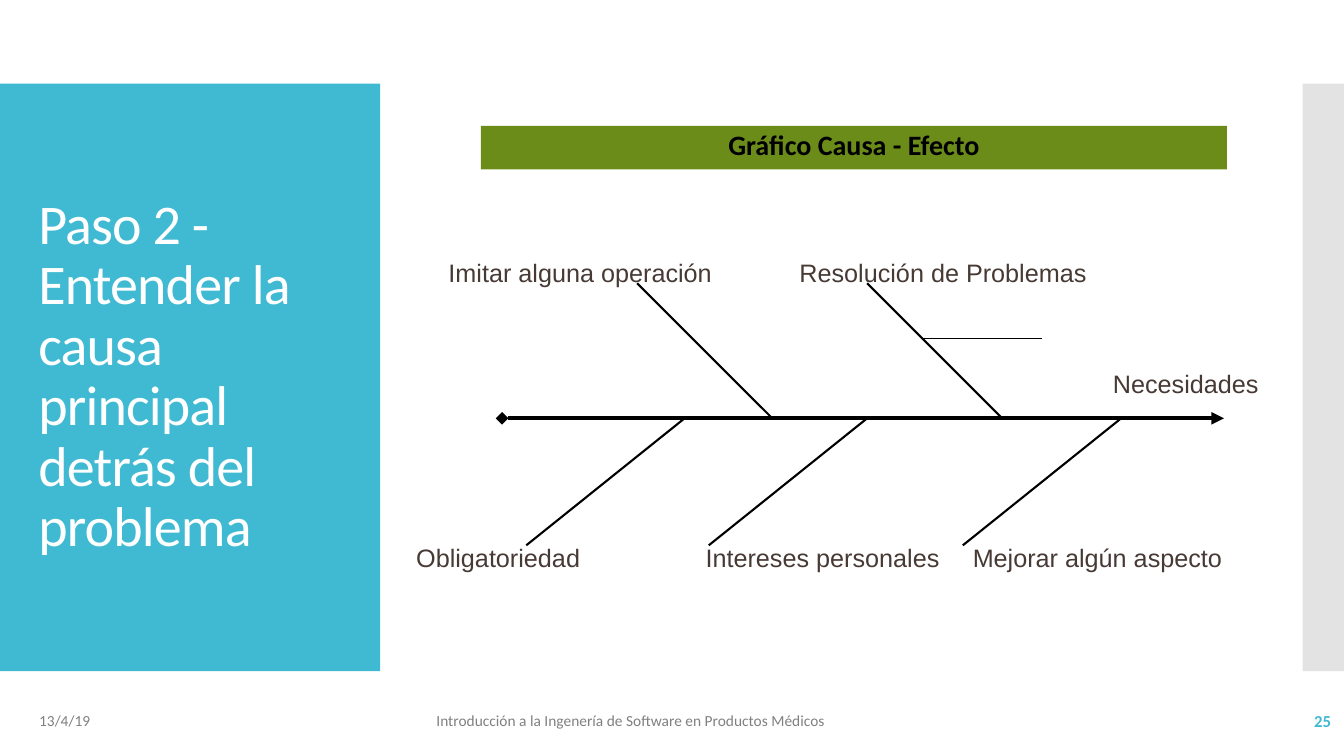
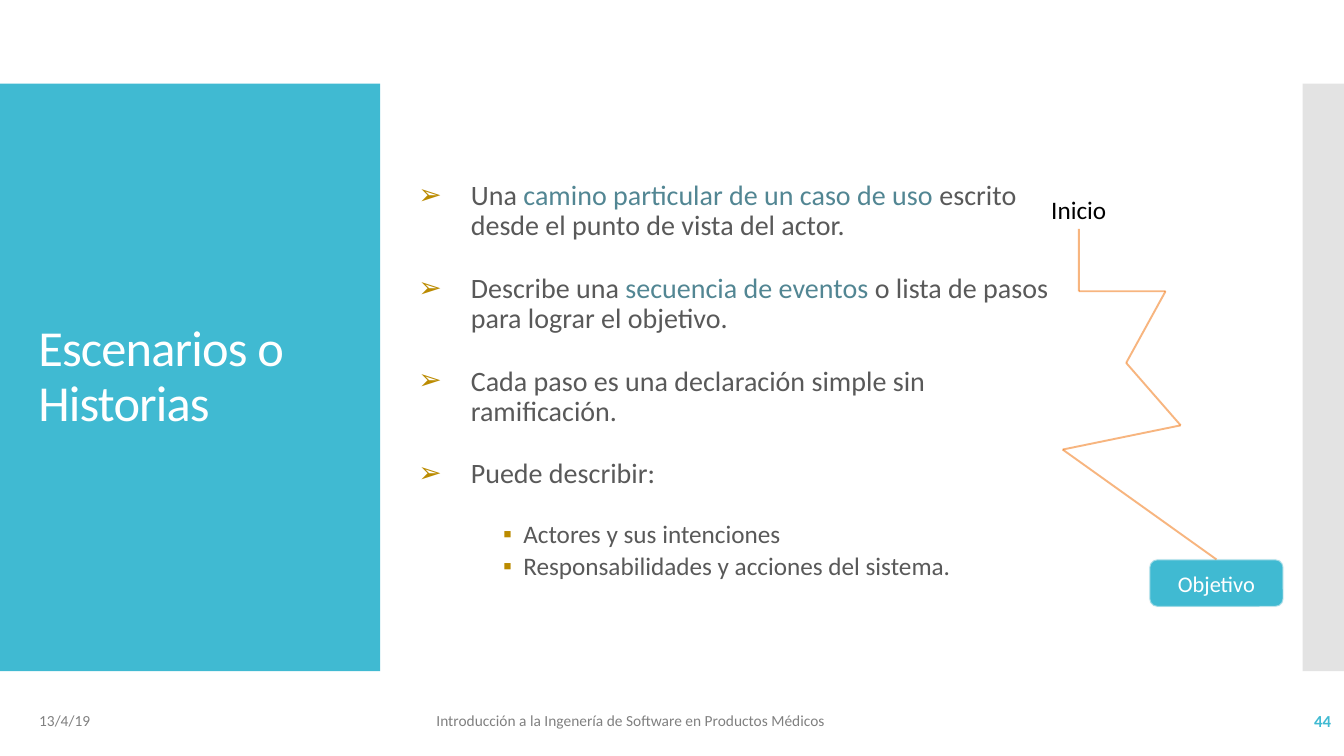
"""Build two lesson slides: a cause and effect chart and a list with a path."""
import lxml.etree
import pptx
import pptx.dml.color
import pptx.enum.shapes
import pptx.enum.text
import pptx.oxml.ns
import pptx.util

Inches = pptx.util.Inches
Pt = pptx.util.Pt
qn = pptx.oxml.ns.qn
Align = pptx.enum.text.PP_ALIGN
Anchor = pptx.enum.text.MSO_ANCHOR
Shape = pptx.enum.shapes.MSO_SHAPE


class Deck:
    font = "Calibri"
    inks = {
        "teal": "40BAD2", "band": "C8C8C8", "grey": "808080",
        "white": "FFFFFF", "black": "000000", "green": "6C8C1A",
        "brown": "473A35", "text": "595959", "mark": "528693",
        "gold": "BB8B00", "orange": "F16D00", "pale": "F9F9F9",
    }
    footer = (
        (0.29, 3, "13/4/19"),
        (4.23, 6.46, "Introducción a la Ingenería de Software en Productos Médicos"),
    )

    def __init__(self):
        self.prs = pptx.Presentation()
        self.prs.slide_width = Inches(13.33)
        self.prs.slide_height = Inches(7.5)
        self.slide = None

    def rgb(self, ink):
        return pptx.dml.color.RGBColor.from_string(self.inks[ink])

    def fade(self, fill, alpha):
        for clr in fill.iter(qn("a:srgbClr")):
            lxml.etree.SubElement(clr, qn("a:alpha"), val=str(alpha * 1000))

    def place(self, item, left, top, width, height):
        item.left, item.top = Inches(left), Inches(top)
        item.width, item.height = Inches(width), Inches(height)

    def style(self, run, size, ink, bold=False, font=None):
        run.font.size = Pt(size)
        run.font.name = font or self.font
        run.font.bold = bold
        run.font.color.rgb = self.rgb(ink)

    def letter(self, frame, text, size, ink, align=Align.LEFT,
               anchor=Anchor.MIDDLE, bold=False, font=None):
        frame.text = text
        frame.vertical_anchor = anchor
        para = frame.paragraphs[0]
        para.alignment = align
        self.style(para.runs[0], size, ink, bold, font)
        return para

    def page(self, layout, title, size, number):
        self.slide = self.prs.slides.add_slide(self.prs.slide_layouts[layout])
        tree = self.slide.shapes._spTree
        panel = self.box(0, 0.83, 3.77, 5.83, "teal")
        edge = self.box(12.92, 0.83, 0.42, 5.83, "band")
        self.fade(edge._element.spPr, 50)
        for spot, band in enumerate((panel, edge), 2):
            tree.insert(spot, band._element)
        head = self.slide.shapes.title
        self.place(head, 0.28, 1.23, 3.22, 5.03)
        head.text_frame.auto_size = pptx.enum.text.MSO_AUTO_SIZE.NONE
        para = self.letter(head.text_frame, title, size, "white")
        para.line_spacing = 0.9
        para.runs[0]._r.get_or_add_rPr().set("spc", "-60")
        for left, width, text in self.footer:
            self.label(left, 6.95, width, text, 11, "grey")
        self.label(11.63, 6.95, 1.67, str(number), 12, "teal",
                   align=Align.RIGHT, bold=True)

    def label(self, left, top, width, text, size, ink, wrap=True, **look):
        item = self.slide.shapes.add_textbox(
            Inches(left), Inches(top), Inches(width), Inches(0.4))
        item.text_frame.word_wrap = wrap
        self.letter(item.text_frame, text, size, ink, **look)

    def box(self, left, top, width, height, ink, kind=Shape.RECTANGLE):
        item = self.slide.shapes.add_shape(
            kind, Inches(left), Inches(top), Inches(width), Inches(height))
        item.shadow.inherit = False
        item.fill.solid()
        item.fill.fore_color.rgb = self.rgb(ink)
        item.line.fill.background()
        return item

    def line(self, start, end, ink, width, alpha=100, tips=()):
        item = self.slide.shapes.add_connector(
            pptx.enum.shapes.MSO_CONNECTOR.STRAIGHT,
            *(Inches(v) for v in (*start, *end)))
        item.line.color.rgb = self.rgb(ink)
        item.line.width = Pt(width)
        props = item._element.spPr
        if alpha < 100:
            self.fade(props, alpha)
        for tag, tip in zip(("a:headEnd", "a:tailEnd"), tips):
            lxml.etree.SubElement(props.find(qn("a:ln")), qn(tag), type=tip)
        lxml.etree.SubElement(props, qn("a:effectLst"))
        return item

    def bullet(self, para, sign, left, hang):
        props = para._p.get_or_add_pPr()
        props.set("marL", str(Inches(left)))
        props.set("indent", str(-Inches(hang)))
        tint = lxml.etree.SubElement(props, qn("a:buClr"))
        lxml.etree.SubElement(tint, qn("a:srgbClr"), val=self.inks["gold"])
        lxml.etree.SubElement(props, qn("a:buFont"), typeface="Arial")
        lxml.etree.SubElement(props, qn("a:buChar"), char=sign)

    def points(self, rows, area):
        body = self.slide.placeholders[1]
        self.place(body, *area)
        frame = body.text_frame
        frame.auto_size = pptx.enum.text.MSO_AUTO_SIZE.NONE
        frame.vertical_anchor = Anchor.MIDDLE
        for row, (level, gap, parts) in enumerate(rows):
            para = frame.add_paragraph() if row else frame.paragraphs[0]
            para.level = level
            para.line_spacing = 0.9
            para.space_before = Pt(gap)
            para.space_after = Pt(0)
            self.bullet(para, *(("▪", 1.04, 0.2) if level else ("➢", 0.52, 0.52)))
            for spot, text in enumerate(parts):
                run = para.add_run()
                run.text = text
                self.style(run, 18 if level else 20, "mark" if spot % 2 else "text")

    def causes(self):
        self.page(5, "Paso 2 - Entender la causa principal detrás del problema", 40, 25)
        head = self.box(4.77, 1.25, 7.4, 0.43, "green")
        para = self.letter(head.text_frame, "Gráfico Causa - Efecto", 20, "black",
                           align=Align.CENTER, anchor=Anchor.TOP, bold=True)
        para.line_spacing = 0.9
        axis = 4.15
        self.line((4.98, axis), (12.14, axis), "black", 3, tips=("diamond", "triangle"))
        ribs = ((1.34, 2.81, (7.66, 9.94)), (1.57, 5.41, (6.79, 8.6, 11.12)))
        for run, end, roots in ribs:
            for root in roots:
                self.line((root, axis), (root - run, end), "black", 1.5)
        self.line((9.15, 3.36), (10.33, 3.36), "black", 1)
        names = (
            (4.35, 2.5, 2.84, "Imitar alguna operación"),
            (7.83, 2.5, 3.08, "Resolución de Problemas"),
            (4.03, 5.33, 1.84, "Obligatoriedad"),
            (6.9, 5.33, 2.54, "Intereses personales"),
            (9.55, 5.33, 2.7, "Mejorar algún aspecto"),
            (10.94, 3.61, 1.66, "Necesidades"),
        )
        for left, top, width, text in names:
            self.label(left, top, width, text, 18, "brown", wrap=False,
                       anchor=Anchor.TOP, font="Arial")

    def stories(self):
        self.page(1, "Escenarios o Historias", 36, 44)
        rows = (
            (0, 0, ("Una ", "camino particular de un caso de uso ",
                    "escrito desde el punto de vista del actor.")),
            (0, 23, ("Describe una ", "secuencia de eventos ",
                     "o lista de pasos para lograr el objetivo.")),
            (0, 23, ("Cada paso es una declaración simple sin ramificación.",)),
            (0, 23, ("Puede describir:",)),
            (1, 23, ("Actores y sus intenciones",)),
            (1, 3, ("Responsabilidades y acciones del sistema.",)),
        )
        self.points(rows, (4.05, 1.48, 6.56, 4.6))
        start = self.box(10.23, 1.88, 0.94, 0.39, "white", Shape.ROUNDED_RECTANGLE)
        self.letter(start.text_frame, "Inicio", 18, "black", align=Align.CENTER)
        goal = self.box(11.4, 5.55, 1.33, 0.47, "teal", Shape.ROUNDED_RECTANGLE)
        goal.line.color.rgb = self.rgb("pale")
        goal.line.width = Pt(1.35)
        self.fade(goal._element.spPr.find(qn("a:ln")), 50)
        self.letter(goal.text_frame, "Objetivo", 16, "white", align=Align.CENTER)
        turns = ((10.7, 2.27), (10.7, 2.89), (11.56, 2.89), (11.17, 3.6),
                 (11.71, 4.22), (10.54, 4.46), (12.06, 5.55))
        legs = [self.line(here, there, "orange", 1.35, 50)
                for here, there in zip(turns, turns[1:])]
        legs[0].begin_connect(start, 2)
        legs[-1].end_connect(goal, 0)


def main():
    deck = Deck()
    deck.causes()
    deck.stories()
    deck.prs.save("out.pptx")


if __name__ == "__main__":
    main()
